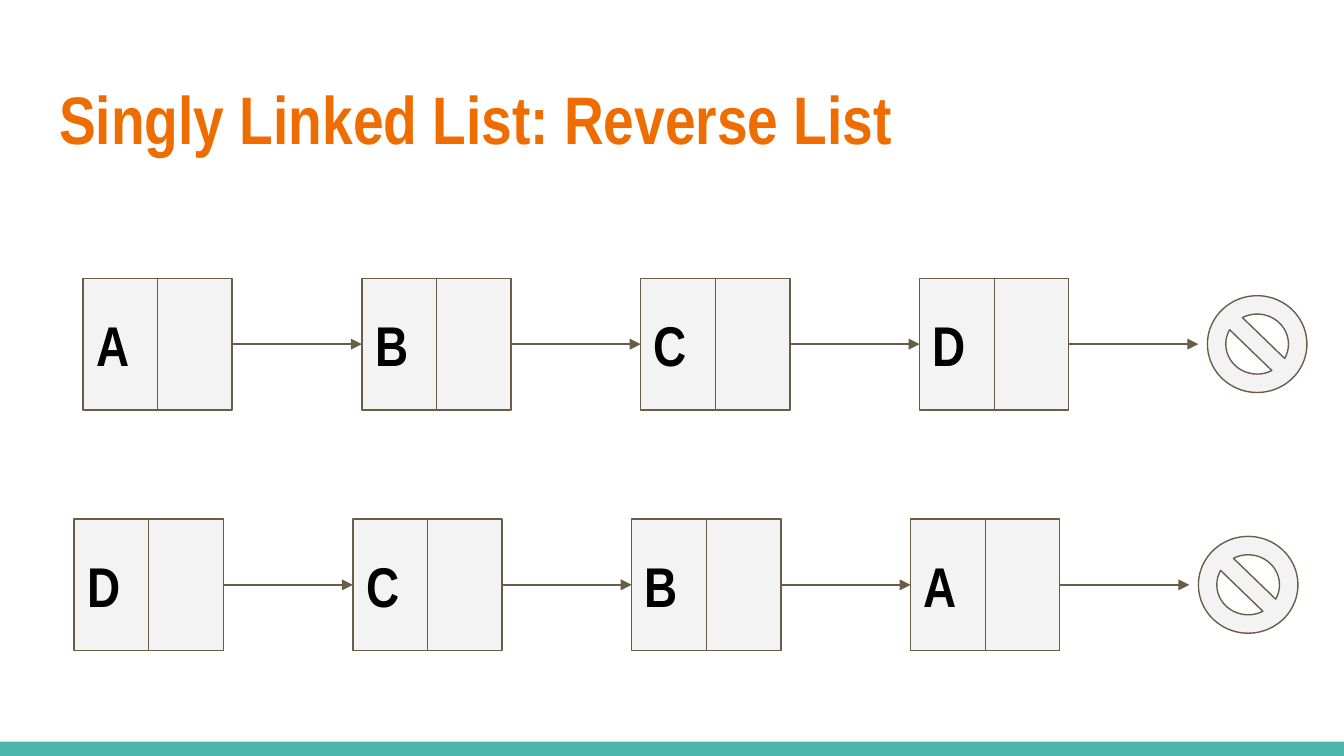
from dataclasses import dataclass

from lxml import etree
from pptx import Presentation
from pptx.dml.color import RGBColor
from pptx.enum.shapes import MSO_CONNECTOR, MSO_SHAPE
from pptx.enum.text import MSO_ANCHOR, PP_ALIGN
from pptx.oxml.ns import qn
from pptx.shapes.autoshape import Shape
from pptx.shapes.shapetree import SlideShapes
from pptx.util import Cm, Pt

RECT = MSO_SHAPE.RECTANGLE
BAN = MSO_SHAPE.NO_SYMBOL
LINE = MSO_CONNECTOR.STRAIGHT
MIDDLE = MSO_ANCHOR.MIDDLE
LEFT = PP_ALIGN.LEFT

ORANGE = RGBColor(0xEF, 0x6C, 0x00)
TEAL = RGBColor(0x4D, 0xB6, 0xAC)
GREY = RGBColor(0xF3, 0xF3, 0xF3)
BROWN = RGBColor(0x69, 0x5D, 0x46)
BLACK = RGBColor(0, 0, 0)

FONT = "Arial Narrow"
WIDE, HIGH = 25.4, 14.29
NODE_W, NODE_H = 2.82, 2.49
STEP = 5.27
SIGN_W, SIGN_H = 1.88, 1.83
SIGN_GAP = 0.17


@dataclass
class Chain:
    names: str
    left: float
    top: float


CHAINS = [Chain("ABCD", 1.57, 5.26), Chain("DCBA", 1.4, 9.81)]


def write(shape: Shape, text: str, size: int, color: RGBColor) -> None:
    frame = shape.text_frame
    frame.word_wrap = True
    frame.vertical_anchor = MIDDLE
    frame.margin_left = frame.margin_right = Cm(0.25)
    frame.margin_top = frame.margin_bottom = Cm(0.25)
    frame.text = text
    line = frame.paragraphs[0]
    line.alignment = LEFT
    font = line.runs[0].font
    font.name, font.size, font.bold = FONT, Pt(size), True
    font.color.rgb = color


def add_form(shapes: SlideShapes, kind: MSO_SHAPE, x: float, y: float,
             w: float, h: float) -> Shape:
    """Add a grey shape with a thin brown outline."""
    form = shapes.add_shape(kind, Cm(x), Cm(y), Cm(w), Cm(h))
    form.shadow.inherit = False
    form.fill.solid()
    form.fill.fore_color.rgb = GREY
    form.line.color.rgb = BROWN
    form.line.width = Pt(0.75)
    return form


def add_line(shapes: SlideShapes, x1: float, y1: float, x2: float, y2: float,
             arrow: bool = False) -> None:
    link = shapes.add_connector(LINE, Cm(x1), Cm(y1), Cm(x2), Cm(y2))
    link.line.color.rgb = BROWN
    link.line.width = Pt(0.75)
    if arrow:
        stroke = link.line._get_or_add_ln()
        etree.SubElement(stroke, qn("a:tailEnd"), type="triangle")
    etree.SubElement(link._element.spPr, qn("a:effectLst"))


def draw_node(shapes: SlideShapes, name: str, x: float, y: float) -> None:
    """Draw a split box and the arrow to whatever follows it."""
    box = add_form(shapes, RECT, x, y, NODE_W, NODE_H)
    write(box, name, 30, BLACK)
    half = x + NODE_W / 2
    add_line(shapes, half, y, half, y + NODE_H)
    mid = y + NODE_H / 2
    add_line(shapes, x + NODE_W, mid, x + STEP, mid, arrow=True)


def draw_chain(shapes: SlideShapes, chain: Chain) -> None:
    for i, name in enumerate(chain.names):
        draw_node(shapes, name, chain.left + i * STEP, chain.top)
    end = chain.left + len(chain.names) * STEP + SIGN_GAP
    top = chain.top + (NODE_H - SIGN_H) / 2
    sign = add_form(shapes, BAN, end, top, SIGN_W, SIGN_H)
    sign.adjustments[0] = 0.19


def main() -> None:
    deck = Presentation()
    deck.slide_width, deck.slide_height = Cm(WIDE), Cm(HIGH)
    shapes = deck.slides.add_slide(deck.slide_layouts[6]).shapes

    band = add_form(shapes, RECT, 0, HIGH - 0.27, WIDE, 0.27)
    band.fill.fore_color.rgb = TEAL
    band.line.fill.background()

    title = shapes.add_textbox(Cm(0.87), Cm(1.24), Cm(23.67), Cm(1.96))
    write(title, "Singly Linked List: Reverse List", 36, ORANGE)

    for chain in CHAINS:
        draw_chain(shapes, chain)
    deck.save("out.pptx")


if __name__ == "__main__":
    main()
